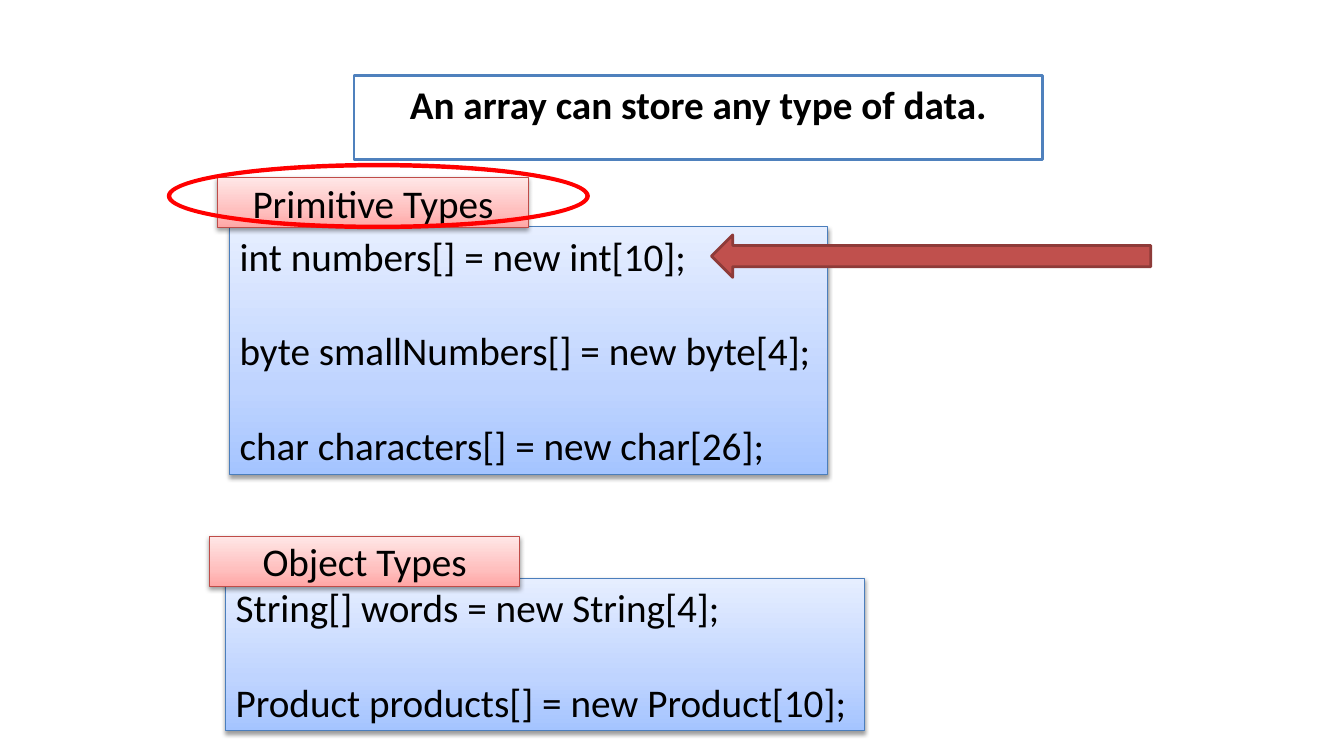
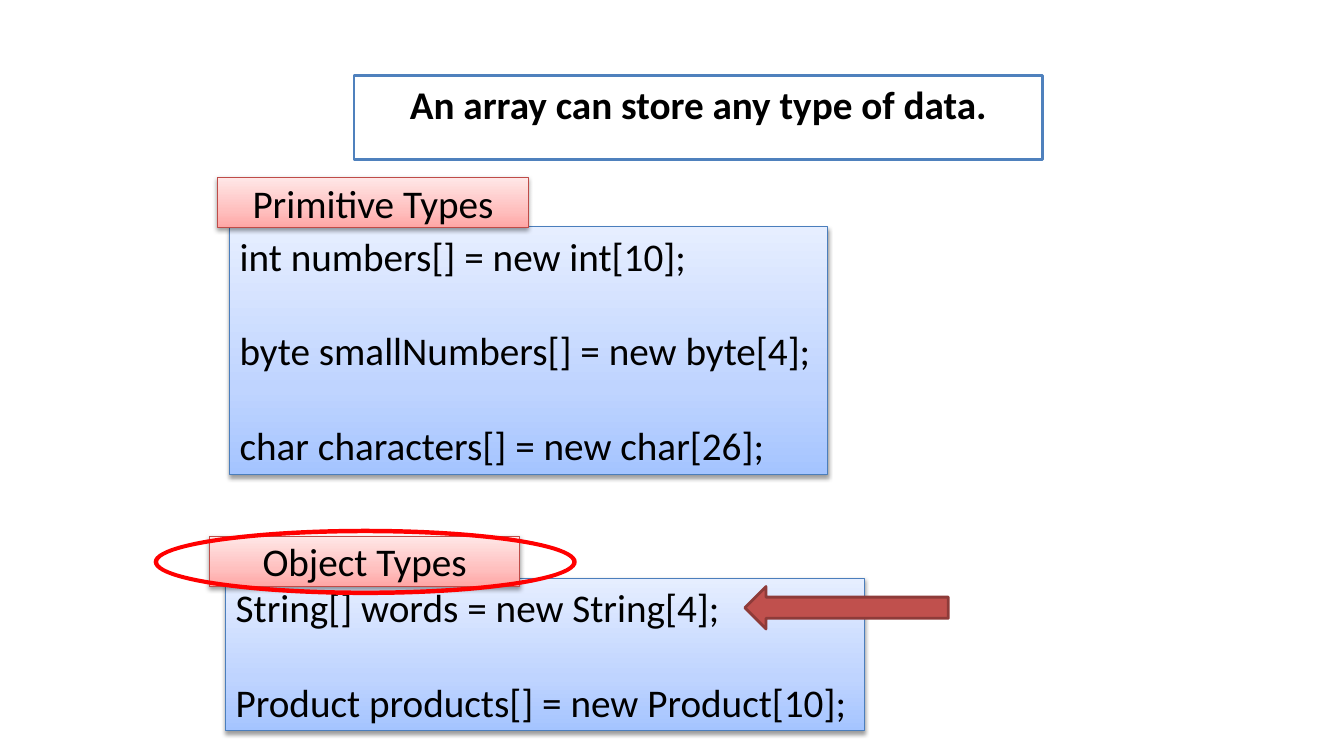
import copy

import pptx
import pptx.dml.color
import pptx.enum.shapes
import pptx.enum.text
import pptx.oxml
import pptx.oxml.ns
import pptx.util

Cm = pptx.util.Cm
Pt = pptx.util.Pt
KIND = pptx.enum.shapes.MSO_SHAPE
ALIGN = pptx.enum.text.PP_ALIGN
ANCHOR = pptx.enum.text.MSO_ANCHOR
FIT = pptx.enum.text.MSO_AUTO_SIZE
qn = pptx.oxml.ns.qn

FONT = "Calibri"
SIZE = 28
GAP = 34  # one empty line between code lines
COLORS = {
    "text": "000000",
    "white": "FFFFFF",
    "title": "4F81BD",
    "code": "4B7EBC",
    "label": "BF4C48",
    "ring": "FF0000",
    "arrow": "C0504D",
    "edge": "8E3B39",
}
BLENDS = {
    "code": ("A4C4FF", "BFD4FF", "E6EEFF"),
    "label": ("FFA6A5", "FFC0BF", "FFE7E7"),
}
STOPS = (0, 0.35, 1)

TITLE = "An array can store any type of data."
# label text, label left and top, code box, code lines
GROUPS = (
    ("Object Types", (5.28, 13.51), (5.69, 14.58, 16.1, 3.84),
     ("String[] words = new String[4];",
      "Product products[] = new Product[10];")),
    ("Primitive Types", (5.49, 4.47), (5.79, 5.72, 15.06, 6.25),
     ("int numbers[] = new int[10];",
      "byte smallNumbers[] = new byte[4];",
      "char characters[] = new char[26];")),
)
# ring left and top, then arrow left, top and width
MARKS = (
    ((4.24, 4.14), (17.93, 5.92, 11.07)),
    ((3.91, 13.36), (18.77, 14.78, 5.13)),
)


def rgb(code):
    return pptx.dml.color.RGBColor.from_string(code)


def place(shape, box):
    shape.left, shape.top, shape.width, shape.height = map(Cm, box)


def paint(shape, fill, line, width):
    shape.fill.solid()
    shape.fill.fore_color.rgb = rgb(COLORS[fill])
    edge(shape, line, width)


def edge(shape, line, width):
    shape.line.color.rgb = rgb(COLORS[line])
    shape.line.width = Pt(width)


def blend(shape, name):
    """Fill with three gradient stops, running from bottom to top."""
    shape.fill.gradient()
    shape.fill.gradient_angle = 90
    stops = shape._element.spPr.find(".//" + qn("a:gsLst"))
    stops.append(copy.deepcopy(stops[0]))
    for stop, pos, code in zip(shape.fill.gradient_stops, STOPS, BLENDS[name]):
        stop.position = pos
        stop.color.rgb = rgb(code)


def shade(shape):
    """Cast a soft shadow straight down."""
    shape._element.spPr.find(qn("a:effectLst")).append(pptx.oxml.parse_xml(
        f'<a:outerShdw {pptx.oxml.ns.nsdecls("a")} blurRad="40000" '
        'dist="20000" dir="5400000" rotWithShape="0"><a:srgbClr val="000000">'
        '<a:alpha val="38000"/></a:srgbClr></a:outerShdw>'))


def write(shape, lines, align, anchor, bold=False):
    frame = shape.text_frame
    frame.text = "\n".join(lines)
    frame.vertical_anchor = anchor
    for i, para in enumerate(frame.paragraphs):
        para.alignment = align
        para.space_before = Pt(GAP if i else 0)
        for run in para.runs:
            run.font.name = FONT
            run.font.size = Pt(SIZE)
            run.font.bold = bold
            run.font.color.rgb = rgb(COLORS["text"])


def add(slide, kind, box):
    shape = slide.shapes.add_shape(kind, *map(Cm, box))
    shape.shadow.inherit = False
    return shape


def panel(slide, box, name):
    shape = add(slide, KIND.RECTANGLE, box)
    blend(shape, name)
    edge(shape, name, 0.75)
    shade(shape)
    return shape


def title(slide):
    """Turn the title placeholder into a rounded, outlined box."""
    shape = slide.shapes.title
    place(shape, (8.92, 1.9, 17.35, 1.6))
    shape._element.spPr.insert(1, pptx.oxml.parse_xml(
        f'<a:prstGeom {pptx.oxml.ns.nsdecls("a")} prst="roundRect">'
        '<a:avLst/></a:prstGeom>'))
    paint(shape, "white", "title", 2)
    write(shape, [TITLE], ALIGN.CENTER, ANCHOR.TOP, bold=True)
    shape.text_frame.auto_size = FIT.SHAPE_TO_FIT_TEXT


def code(slide, box, lines):
    shape = panel(slide, box, "code")
    write(shape, lines, ALIGN.LEFT, ANCHOR.TOP)
    shape.text_frame.word_wrap = False
    shape.text_frame.auto_size = FIT.SHAPE_TO_FIT_TEXT


def label(slide, spot, text):
    shape = panel(slide, (*spot, 7.82, 1.27), "label")
    write(shape, [text], ALIGN.CENTER, ANCHOR.MIDDLE)


def ring(slide, spot):
    shape = add(slide, KIND.DONUT, (*spot, 10.59, 1.6))
    shape.adjustments[0] = 0.026
    paint(shape, "ring", "ring", 2)


def arrow(slide, span):
    shape = add(slide, KIND.LEFT_ARROW, (*span, 1.07))
    paint(shape, "arrow", "edge", 2)


def main():
    deck = pptx.Presentation()
    deck.slide_width, deck.slide_height = Cm(33.87), Cm(19.05)
    for spot, span in MARKS:
        slide = deck.slides.add_slide(deck.slide_layouts[5])
        title(slide)
        for _, _, box, lines in GROUPS:
            code(slide, box, lines)
        for text, corner, _, _ in GROUPS:
            label(slide, corner, text)
        ring(slide, spot)
        arrow(slide, span)
    deck.save("out.pptx")


if __name__ == "__main__":
    main()
